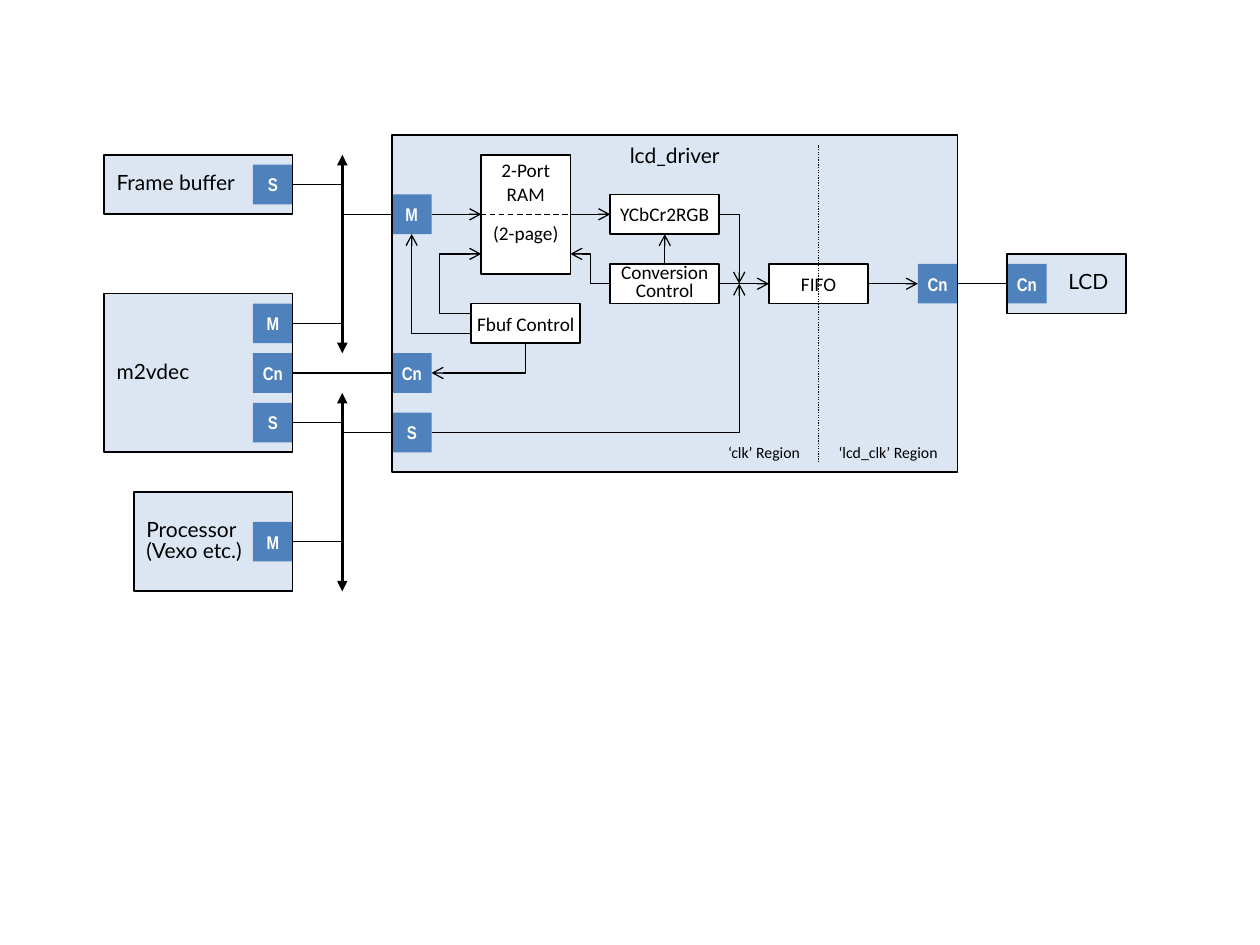
"""Block diagram of an LCD driver and the units around it, placed on a 2 mm grid."""
from pptx import Presentation
from pptx import util as u
from pptx.dml.color import RGBColor
from pptx.enum import dml, shapes, text
from pptx.oxml.ns import qn
from lxml import etree

GRID, X0, Y0 = 5.67, 59.53, 77.1
BLACK, WHITE, PALE, BLUE = "000000", "FFFFFF", "DCE6F2", "4F81BD"
LEFT, CENTER, RIGHT = text.PP_ALIGN.LEFT, text.PP_ALIGN.CENTER, text.PP_ALIGN.RIGHT
TOP, MIDDLE = text.MSO_ANCHOR.TOP, text.MSO_ANCHOR.MIDDLE

panels = [
    ((91, 12, 12, 6), ["LCD"], dict(align=RIGHT, inset=(7.2, 0, 10.1, 0))),
    ((3, 36, 16, 10), ["Processor", "(Vexo etc.)"], {}),
    ((29, 0, 57, 34), ["lcd_driver"], dict(align=CENTER, anchor=TOP, inset=(0, 6.5, 0, 0))),
    ((0, 2, 19, 6), ["Frame buffer"], {}),
    ((0, 16, 19, 16), ["m2vdec"], {}),
]
ports = [
    ("M", 29, 6), ("Cn", 29, 22), ("S", 29, 28), ("Cn", 82, 13), ("Cn", 91, 13),
    ("S", 15, 3), ("M", 15, 17), ("Cn", 15, 22), ("S", 15, 27), ("M", 15, 39),
]
blocks = [
    ((38, 2, 9, 12), ["2-Port", "RAM", "(2-page)"],
     dict(anchor=TOP, inset=(0, 2.3, 0, 0), last_gap=9.5)),
    ((67, 13, 10, 4), ["FIFO"], {}),
    ((51, 6, 11, 4), ["YCbCr2RGB"], {}),
    ((37, 17, 11, 4), ["Fbuf Control"], {}),
    ((51, 13, 11, 4), ["Conversion", "Control"], dict(spacing=10)),
]
regions = [((62, 30, 9, 4), "‘clk’ Region"), ((73, 30, 12, 4), "‘lcd_clk’ Region")]

arrows = [
    (33, 8, 38, 8), (47, 8, 51, 8), (62, 15, 67, 15),
    (77, 15, 82, 15), (56.5, 13, 56.5, 10),
]
links = [
    (29, 8, 24, 8), (24, 5, 19, 5), (29, 24, 19, 24), (24, 19, 19, 19),
    (24, 29, 19, 29), (24, 41, 19, 41), (29, 30, 24, 30), (91, 15, 86, 15),
]
buses = [(24, 22, 24, 2), (24, 46, 24, 26)]
dividers = [
    ((38, 8, 47, 8), dml.MSO_LINE.DASH),
    ((72, 33, 72, 1), dml.MSO_LINE.ROUND_DOT),
]
corners = [
    ((37, 20, 31, 10), dict(tail="arrow")),
    ((33, 30, 64, 15), dict(tail="arrow")),
    ((62, 8, 64, 15), dict(tail="arrow")),
    ((33, 24, 42.5, 21), dict(head="arrow")),
]
steps = [((37, 18, 38, 12), -317500), ((51, 15, 47, 12), 50000)]


def color(value):
    return RGBColor.from_string(value)


def gx(n):
    return u.Pt(round(X0 + n * GRID, 2))


def gy(n):
    return u.Pt(round(Y0 + n * GRID, 2))


def place(box):
    x, y, w, h = box
    return gx(x), gy(y), gx(x + w) - gx(x), gy(y + h) - gy(y)


def rect(box, fill=None, line=None):
    sp = s.shapes.add_shape(shapes.MSO_SHAPE.RECTANGLE, *place(box))
    sp.shadow.inherit = False
    if fill:
        sp.fill.solid()
        sp.fill.fore_color.rgb = color(fill)
    else:
        sp.fill.background()
    if line:
        sp.line.color.rgb = color(line)
        sp.line.width = u.Pt(1)
    else:
        sp.line.fill.background()
    return sp


def write(sp, lines, size, font, ink=BLACK, bold=False, align=CENTER, anchor=MIDDLE,
          inset=(0, 0, 0, 0), spacing=None, last_gap=0, wrap=False):
    tf = sp.text_frame
    tf.word_wrap = wrap
    tf.vertical_anchor = anchor
    tf.margin_left, tf.margin_top, tf.margin_right, tf.margin_bottom = map(u.Pt, inset)
    for i, line in enumerate(lines):
        p = tf.add_paragraph() if i else tf.paragraphs[0]
        p.alignment = align
        if spacing:
            p.line_spacing = u.Pt(spacing)
        r = p.add_run()
        r.text = line
        r.font.size, r.font.name, r.font.bold = u.Pt(size), font, bold
        r.font.color.rgb = color(ink)
    if last_gap:
        p.space_before = u.Pt(last_gap)


def connect(ends, width=0.75, dash=None, head=None, tail=None, preset=None, adj=None):
    kind = shapes.MSO_CONNECTOR.ELBOW if preset else shapes.MSO_CONNECTOR.STRAIGHT
    x1, y1, x2, y2 = ends
    cx = s.shapes.add_connector(kind, gx(x1), gy(y1), gx(x2), gy(y2))
    cx.line.color.rgb = color(BLACK)
    cx.line.width = u.Pt(width)
    if dash:
        cx.line.dash_style = dash
    props = cx.element.find(qn("p:spPr"))
    ln = props.find(qn("a:ln"))
    for tag, style in (("a:headEnd", head), ("a:tailEnd", tail)):
        if style:
            etree.SubElement(ln, qn(tag), type=style)
    etree.SubElement(props, qn("a:effectLst"))
    if preset:
        geom = props.find(qn("a:prstGeom"))
        geom.set("prst", preset)
        if adj is not None:
            guides = geom.find(qn("a:avLst"))
            etree.SubElement(guides, qn("a:gd"), name="adj1", fmla=f"val {adj}")


prs = Presentation()
prs.slide_width, prs.slide_height = u.Pt(720), u.Pt(540)
s = prs.slides.add_slide(prs.slide_layouts[6])

for box, _, _ in panels:
    rect(box, fill=PALE)
for label, x, y in ports:
    write(rect((x, y, 4, 4), fill=BLUE), [label], 10.5, "Arial Narrow", WHITE, bold=True)
for box, lines, extra in panels:
    style = dict(align=LEFT, inset=(7.2, 0, 7.2, 0), spacing=12, wrap=True) | extra
    write(rect(box, line=BLACK), lines, 12, "Lato", **style)
for box, lines, extra in blocks:
    write(rect(box, WHITE, BLACK), lines, 11, "Calibri", **extra)
for box, label in regions:
    write(s.shapes.add_textbox(*place(box)), [label], 9, "Calibri")

for ends in arrows:
    connect(ends, tail="arrow")
for ends in links:
    connect(ends)
for ends in buses:
    connect(ends, width=2, head="triangle", tail="triangle")
for ends, dash in dividers:
    connect(ends, dash=dash)
for ends, tips in corners:
    connect(ends, preset="bentConnector2", **tips)
for ends, adj in steps:
    connect(ends, tail="arrow", preset="bentConnector3", adj=adj)

for sp in [sp for sp in s.shapes if sp.has_text_frame and sp.name.startswith("FIFO")]:
    sp.text_frame.word_wrap = False

prs.save("out.pptx")
